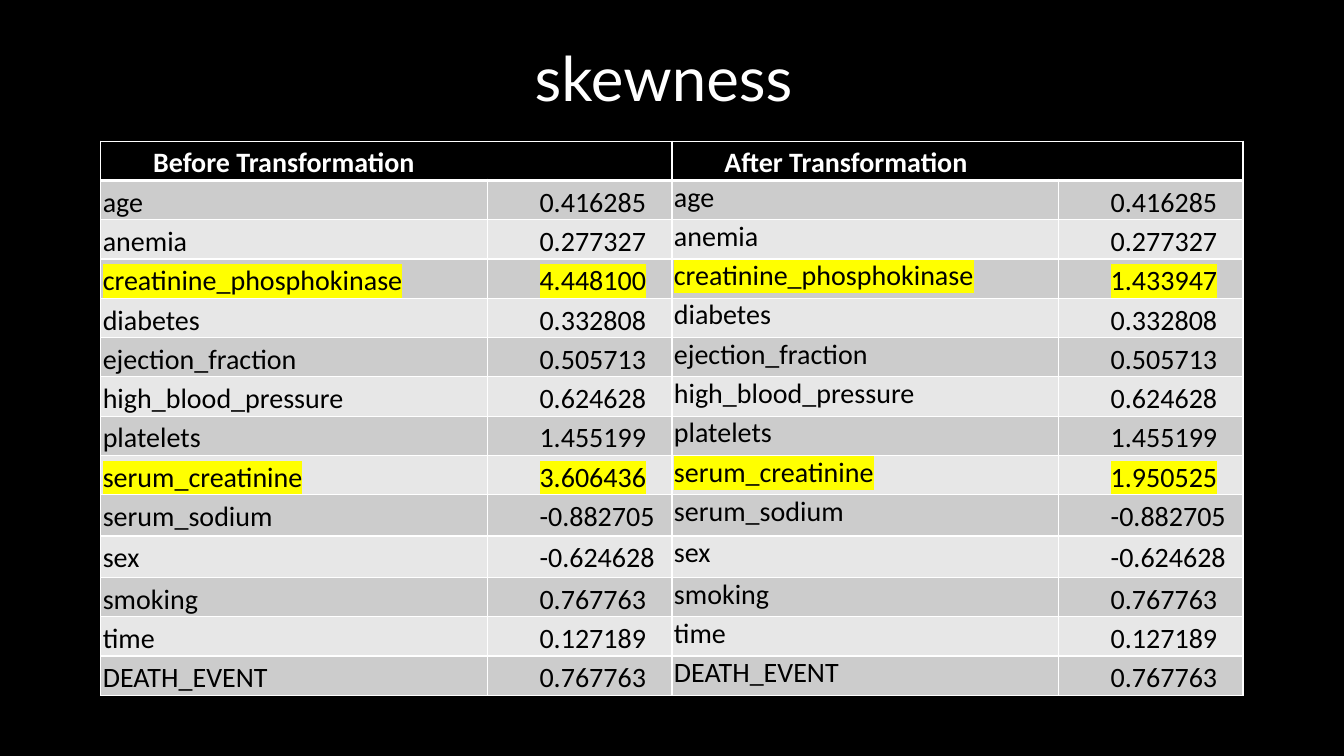
from lxml import etree
from pptx import Presentation
from pptx import util as u
from pptx.dml.color import RGBColor
from pptx.enum import text
from pptx.oxml import ns

COLORS = {"black": "000000", "white": "FFFFFF", "dark_band": "CCCCCC",
          "light_band": "E7E7E7", "highlight": "FFFF00"}
SKEWNESS = [
    ("age", "0.416285", "0.416285"),
    ("anemia", "0.277327", "0.277327"),
    ("creatinine_phosphokinase", "4.448100", "1.433947"),
    ("diabetes", "0.332808", "0.332808"),
    ("ejection_fraction", "0.505713", "0.505713"),
    ("high_blood_pressure", "0.624628", "0.624628"),
    ("platelets", "1.455199", "1.455199"),
    ("serum_creatinine", "3.606436", "1.950525"),
    ("serum_sodium", "-0.882705", "-0.882705"),
    ("sex", "-0.624628", "-0.624628"),
    ("smoking", "0.767763", "0.767763"),
    ("time", "0.127189", "0.127189"),
    ("DEATH_EVENT", "0.767763", "0.767763"),
]
TALL_ROWS = ("serum_sodium", "sex")


class SlideBuilder:
    """Draw styled elements on a slide ruled into 40 columns and 75 rows."""

    def __init__(self, presentation):
        self.column = presentation.slide_width / 40
        self.row = presentation.slide_height / 75
        self.slide = presentation.slides.add_slide(presentation.slide_layouts[6])
        background = self.slide.background.fill
        background.solid()
        background.fore_color.rgb = self.color("black")

    def color(self, name):
        return RGBColor.from_string(COLORS[name])

    def columns(self, count):
        return u.Emu(round(count * self.column))

    def rows(self, count):
        return u.Emu(round(count * self.row))

    def box(self, left, top, width, height):
        return (self.columns(left), self.rows(top),
                self.columns(width), self.rows(height))

    def format_run(self, run, font, size, color, bold=False, marked=False):
        run.font.name = font
        run.font.size = u.Pt(size)
        run.font.bold = bold
        run.font.color.rgb = self.color(color)
        if marked:
            highlight = etree.Element(ns.qn("a:highlight"))
            etree.SubElement(highlight, ns.qn("a:srgbClr"), val=COLORS["highlight"])
            run.font._element.find(ns.qn("a:solidFill")).addnext(highlight)

    def title(self, content, left, top, width, height):
        shape = self.slide.shapes.add_textbox(*self.box(left, top, width, height))
        frame = shape.text_frame
        frame.word_wrap = True
        frame.vertical_anchor = text.MSO_ANCHOR.BOTTOM
        frame.text = content
        paragraph = frame.paragraphs[0]
        paragraph.alignment = text.PP_ALIGN.CENTER
        paragraph.line_spacing = 0.9
        self.format_run(paragraph.runs[0], "Lato", 44.1, "white")

    def borders(self, cell, top_width, bottom_width):
        properties = cell._tc.get_or_add_tcPr()
        widths = {"lnL": 1, "lnR": 1, "lnT": top_width, "lnB": bottom_width}
        for side, width in widths.items():
            line = etree.SubElement(properties, ns.qn(f"a:{side}"), w=str(u.Pt(width)))
            fill = etree.SubElement(line, ns.qn("a:solidFill"))
            etree.SubElement(fill, ns.qn("a:srgbClr"), val=COLORS["white"])

    def cell(self, cell, content, band, row_index, indented=False,
             spaced=True, marked=False):
        header = row_index == 0
        self.borders(cell, 3 if row_index == 1 else 1, 3 if header else 1)
        cell.fill.solid()
        cell.fill.fore_color.rgb = self.color(band)
        cell.margin_left = cell.margin_right = u.Inches(0.02)
        cell.margin_top = cell.margin_bottom = 0
        cell.text_frame.text = content
        paragraph = cell.text_frame.paragraphs[0]
        if spaced:
            paragraph.alignment = text.PP_ALIGN.JUSTIFY
            paragraph.line_spacing = 1.15
        if indented:
            paragraph._p.get_or_add_pPr().set("marL", str(self.columns(1.5)))
        for run in paragraph.runs:
            self.format_run(run, "Calibri", 20, "white" if header else "black",
                            header, marked)

    def table(self, headings, records, left, top, widths, row_height, tall_height):
        frame = self.slide.shapes.add_table(
            len(records) + 1, len(widths),
            *self.box(left, top, sum(widths), row_height * (len(records) + 1)))
        table = frame.table
        table.horz_banding = False
        for column, width in zip(table.columns, widths):
            column.width = self.columns(width)
        table.rows[0].height = self.rows(row_height)
        for index, heading in enumerate(headings):
            first, second = table.cell(0, 2 * index), table.cell(0, 2 * index + 1)
            self.cell(first, heading, "black", 0, indented=True)
            self.cell(second, "", "black", 0)
            first.merge(second)
        for row_index, (name, before, after) in enumerate(records, 1):
            height = tall_height if name in TALL_ROWS else row_height
            table.rows[row_index].height = self.rows(height)
            band = "dark_band" if row_index % 2 else "light_band"
            marked = before != after
            for index, content in enumerate((name, before, name, after)):
                self.cell(table.cell(row_index, index), content, band, row_index,
                          indented=index % 2 == 1, spaced=index != 2, marked=marked)


presentation = Presentation()
presentation.slide_width = u.Inches(40 / 3)
presentation.slide_height = u.Inches(7.5)
builder = SlideBuilder(presentation)
builder.title("skewness", 4.75, 7.8, 30, 4.1)
builder.table(("Before Transformation", "After Transformation"), SKEWNESS,
              3, 14, (11.5, 5.5) * 2, 3.9, 4.1)
presentation.save("out.pptx")
